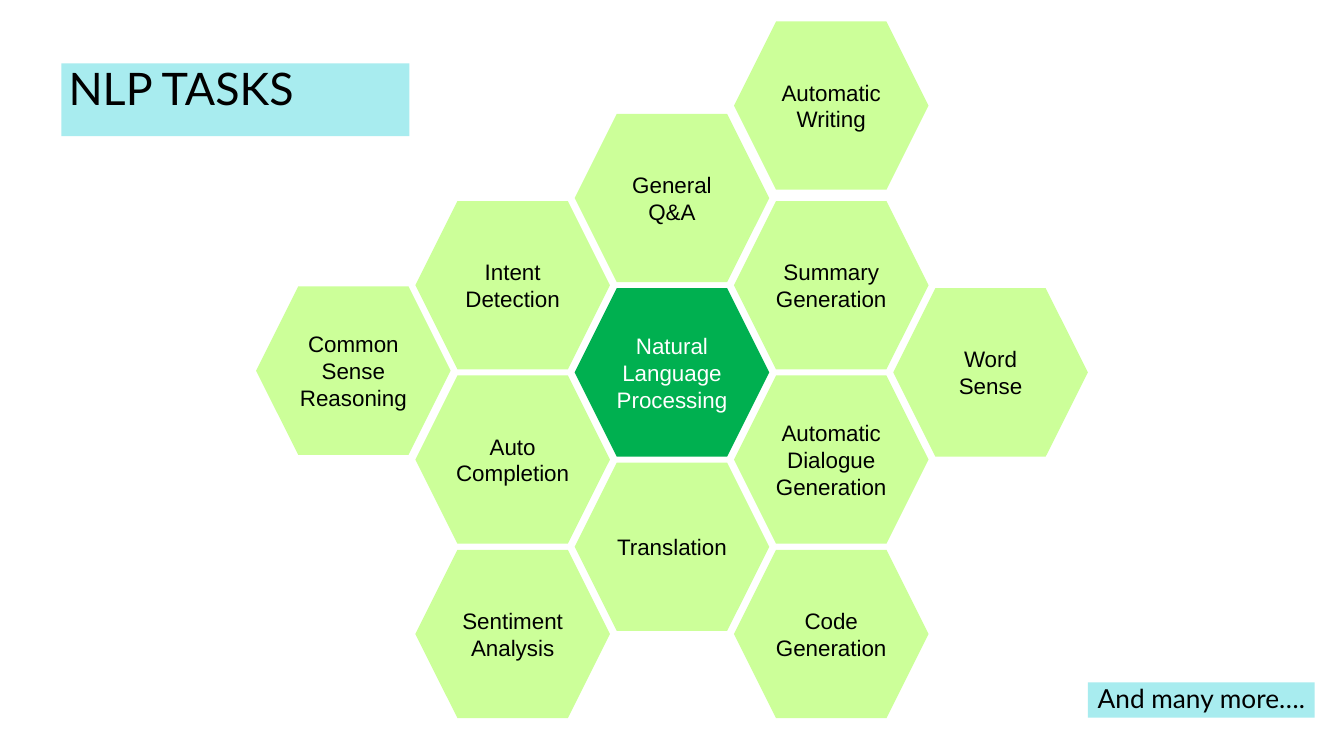
from pptx import Presentation
from pptx.dml.color import RGBColor
from pptx.enum.shapes import MSO_SHAPE as Shape
from pptx.enum.text import MSO_ANCHOR as Anchor, MSO_AUTO_SIZE as AutoSize, PP_ALIGN as Align
from pptx.util import Inches, Pt

GREEN, LIME, AQUA = "00B050", "CCFF99", "A8ECEF"
BLACK, WHITE = "000000", "FFFFFF"

# Honeycomb: the centre cell's corner, the cell size and the step between cells
CENTRE_X, CENTRE_Y = 5.7, 2.86
CELL_W, CELL_H = 1.93, 1.67
COL_STEP, ROW_STEP = 1.58, 1.73

# Task, columns and rows away from the centre
TASKS = [
    ("General Q&A", 0, -1),
    ("Translation", 0, 1),
    ("Summary Generation", 1, -0.5),
    ("Automatic Dialogue Generation", 1, 0.5),
    ("Intent Detection", -1, -0.5),
    ("Auto Completion", -1, 0.5),
    ("Word Sense", 2, 0),
    ("Code Generation", 1, 1.5),
    ("Common Sense Reasoning", -2, -0.01),
    ("Automatic Writing", 1, -1.53),
    ("Sentiment Analysis", -1, 1.5),
]


def rgb(value):
    return RGBColor.from_string(value)


class HoneycombSlide:
    def __init__(self, prs):
        self.s = prs.slides.add_slide(prs.slide_layouts[6])

    def block(self, kind, box, fill, text, font, size, color=BLACK,
              align=Align.CENTER, anchor=Anchor.MIDDLE):
        """Add a borderless filled shape with one styled paragraph."""
        sp = self.s.shapes.add_shape(kind, *(Inches(v) for v in box))
        sp.shadow.inherit = False
        sp.fill.solid()
        sp.fill.fore_color.rgb = rgb(fill)
        sp.line.fill.background()
        tf = sp.text_frame
        tf.text = text
        tf.word_wrap = True
        tf.vertical_anchor = anchor
        tf.margin_left = tf.margin_right = Inches(0.07)
        tf.margin_top = tf.margin_bottom = Inches(0.03)
        p = tf.paragraphs[0]
        p.alignment = align
        r = p.runs[0]
        r.font.name, r.font.size = font, Pt(size)
        r.font.color.rgb = rgb(color)
        return sp

    def cell(self, text, col, row, fill=LIME, color=BLACK):
        box = (CENTRE_X + col * COL_STEP, CENTRE_Y + row * ROW_STEP, CELL_W, CELL_H)
        sp = self.block(Shape.HEXAGON, box, fill, text, "Arial", 16, color)
        sp.adjustments[0] = 0.25

    def banner(self, text, box, size, **placing):
        sp = self.block(Shape.RECTANGLE, box, AQUA, text, "Lato", size, **placing)
        sp.text_frame.paragraphs[0].line_spacing = 0.9
        return sp


def main():
    prs = Presentation()
    prs.slide_width, prs.slide_height = Inches(13.33), Inches(7.5)
    slide = HoneycombSlide(prs)
    slide.cell("Natural Language Processing", 0, 0, GREEN, WHITE)
    for task, col, row in TASKS:
        slide.cell(task, col, row)
    more = slide.banner("And many more….", (10.79, 6.77, 2.25, 0.35), 18.7)
    more.text_frame.auto_size = AutoSize.SHAPE_TO_FIT_TEXT
    slide.banner("NLP TASKS", (0.61, 0.63, 3.45, 0.72), 32,
                 align=Align.LEFT, anchor=Anchor.TOP)
    prs.save("out.pptx")


if __name__ == "__main__":
    main()
